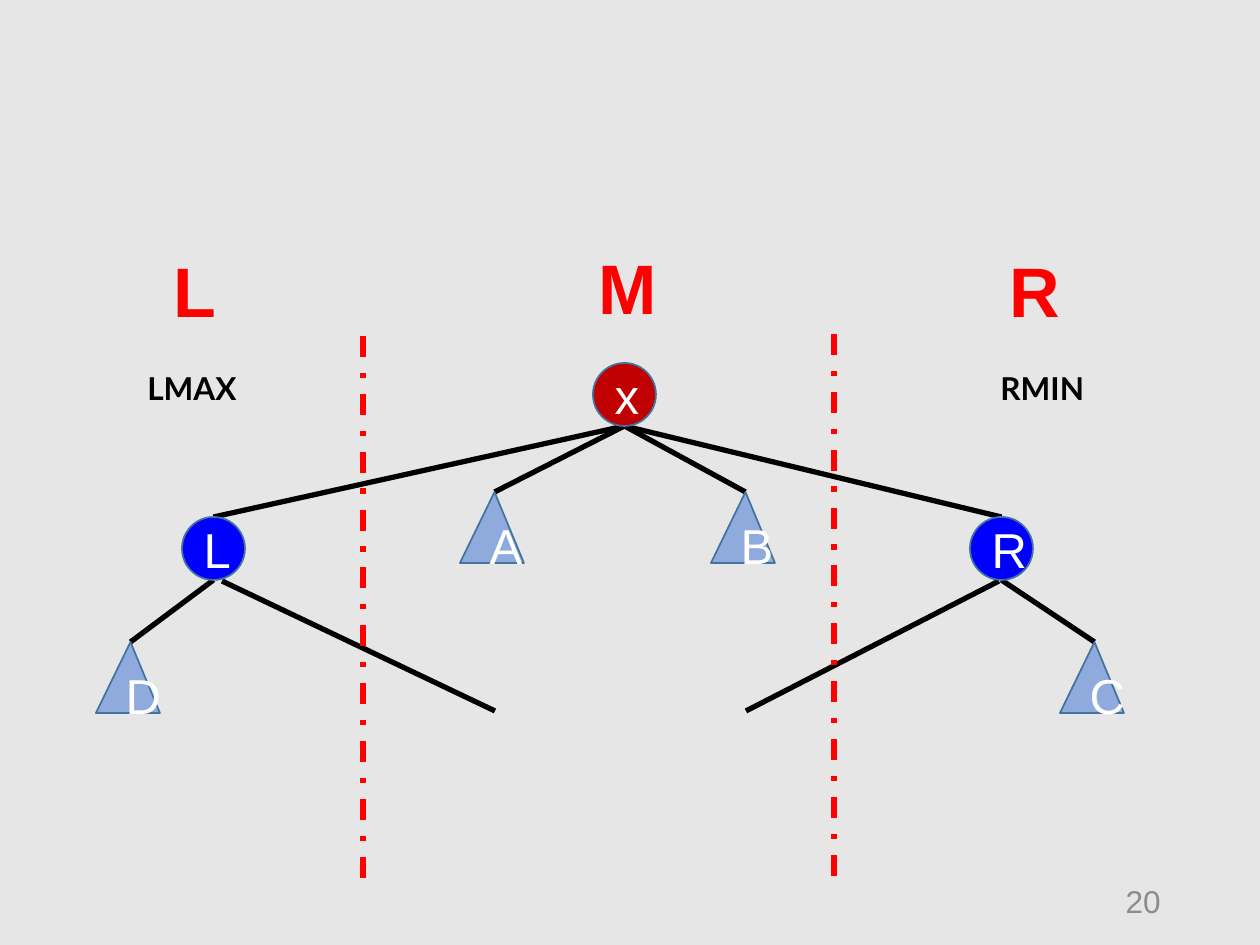
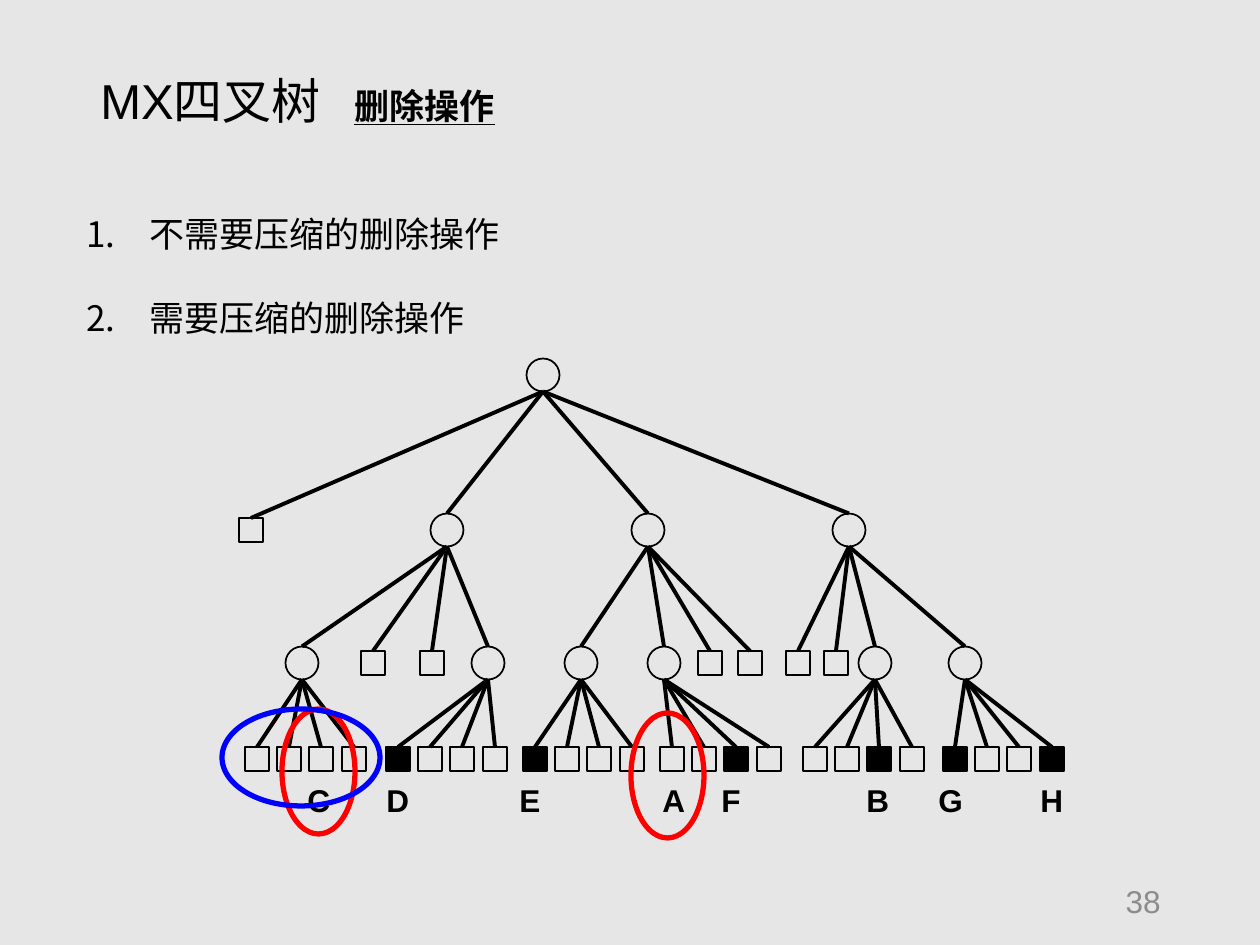
from lxml.etree import SubElement
from pptx import Presentation
from pptx.dml.color import RGBColor
from pptx.enum.dml import MSO_LINE
from pptx.enum.shapes import MSO_CONNECTOR, MSO_SHAPE
from pptx.enum.text import MSO_ANCHOR, PP_ALIGN
from pptx.oxml.ns import qn
from pptx.util import Pt

PX = 914400 / 126
BACKGROUND, BLACK, WHITE = "E7E6E6", "000000", "FFFFFF"
RED, BLUE, DARK_RED = "FF0000", "0000FF", "C00000"
PALE_BLUE, OUTLINE, GREY = "8FAADC", "43739E", "8C8C8C"

# Splay step: text, font, size, colour, box
SPLAY_LABELS = [
    ("L", "Arial", 40, RED, (161, 241, 58, 97)),
    ("M", "Arial", 40, RED, (586, 238, 83, 97)),
    ("R", "Arial", 40, RED, (997, 241, 73, 97)),
    ("LMAX", "Lato", 18, BLACK, (135, 363, 135, 50)),
    ("RMIN", "Lato", 18, BLACK, (988, 363, 135, 50)),
]
CIRCLES = {"x": (593, 363, DARK_RED), "L": (182, 517, BLUE), "R": (970, 517, BLUE)}
SUBTREES = {"A": (460, 492), "B": (711, 492), "C": (1060, 642), "D": (96, 642)}
CIRCLE_SIZE, SUBTREE_SIZE, APEX = 63, (64, 71), 0.54
EDGES = ["xA", "xB", "xL", "xR", "RC", "LD"]
OPEN_LINKS = [((495, 711), (222, 581)), ((746, 711), (999, 581))]
DIVIDERS = [((363, 336), (363, 893)), ((834, 334), (834, 891))]

# Quadtree: a node is (centre x, children); a leaf has its mark instead
TITLE, SUBTITLE, SUBTITLE_TAB = "MX四叉树", "删除操作", 254
DELETIONS = ["不需要压缩的删除操作", "需要压缩的删除操作"]
DELETED = "CA"


def leaf_row(first, marks):
    """Four evenly spaced leaves; a dot marks an empty one."""
    return [(first + index * 97 // 3, mark) for index, mark in enumerate(marks)]


QUADTREE = (543, [
    (251, "."),
    (447, [(302, leaf_row(257, "..C.")), (373, "."), (432, "."),
           (488, leaf_row(398, "D..."))]),
    (648, [(581, leaf_row(535, "E...")), (664, leaf_row(672, "A.F.")),
           (710, "."), (750, ".")]),
    (849, [(798, "."), (836, "."), (875, leaf_row(815, "..B.")),
           (965, leaf_row(955, "G..H"))]),
])
LEVELS = [375, 530, 663, 759]
NODE_SIZE, LEAF_SIZE = 33, 24
LEAF_LABELS = {"C": 295, "D": 374, "E": 507, "A": 650,
               "F": 709, "B": 854, "G": 926, "H": 1028}
RINGS = [
    (RED, (631, 713, 73, 125)),
    (RED, (282, 709, 73, 125)),
    (BLUE, (222, 709, 158, 97)),
]


def emu(*lengths):
    return [round(length * PX) for length in lengths]


def color(value):
    return RGBColor.from_string(value)


def style(runs, size, hue=BLACK, font="Arial", bold=False):
    for run in runs:
        run.font.name, run.font.size, run.font.bold = font, Pt(size), bold
        run.font.color.rgb = color(hue)


def add_text(slide, text, box, size, hue=BLACK, font="Arial", bold=False):
    text_frame = slide.shapes.add_textbox(*emu(*box)).text_frame
    text_frame.word_wrap = True
    text_frame.text = text
    for paragraph in text_frame.paragraphs:
        style(paragraph.runs, size, hue, font, bold)
    return text_frame


def add_figure(slide, kind, box, fill=None, outline=BLACK, width=1, letter=""):
    shape = slide.shapes.add_shape(kind, *emu(*box))
    shape.shadow.inherit = False
    if fill:
        shape.fill.solid()
        shape.fill.fore_color.rgb = color(fill)
    else:
        shape.fill.background()
    shape.line.color.rgb = color(outline)
    shape.line.width = Pt(width)
    if letter:
        shape.text_frame.text = letter
        paragraph = shape.text_frame.paragraphs[0]
        paragraph.alignment = PP_ALIGN.CENTER
        style(paragraph.runs, 28, WHITE)
    return shape


def add_line(slide, start, end, hue=BLACK, width=3, dash=None):
    line = slide.shapes.add_connector(MSO_CONNECTOR.STRAIGHT, *emu(*start, *end))
    line.line.color.rgb = color(hue)
    line.line.width = Pt(width)
    if dash:
        line.line.dash_style = dash
    SubElement(line._element.spPr, qn("a:effectLst"))


def add_slide(presentation, number):
    slide = presentation.slides.add_slide(presentation.slide_layouts[6])
    text_frame = add_text(slide, number, (890, 876, 283, 50), 18, GREY)
    text_frame.vertical_anchor = MSO_ANCHOR.MIDDLE
    text_frame.paragraphs[0].alignment = PP_ALIGN.RIGHT
    return slide


def top_point(name):
    if name in CIRCLES:
        left, top, _ = CIRCLES[name]
        return left + CIRCLE_SIZE / 2, top
    left, top = SUBTREES[name]
    return left + SUBTREE_SIZE[0] * APEX, top


def build_splay(presentation):
    slide = add_slide(presentation, "20")
    for start, end in OPEN_LINKS:
        add_line(slide, start, end)
    for parent, child in EDGES:
        x, y = top_point(parent)
        add_line(slide, (x, y + CIRCLE_SIZE), top_point(child))
    for name, (left, top, fill) in CIRCLES.items():
        add_figure(slide, MSO_SHAPE.OVAL, (left, top, CIRCLE_SIZE, CIRCLE_SIZE),
                   fill, OUTLINE, letter=name)
    for name, corner in SUBTREES.items():
        triangle = add_figure(slide, MSO_SHAPE.ISOSCELES_TRIANGLE,
                              corner + SUBTREE_SIZE, PALE_BLUE, OUTLINE, letter=name)
        triangle.adjustments[0] = APEX
    for start, end in DIVIDERS:
        add_line(slide, start, end, RED, dash=MSO_LINE.DASH_DOT)
    for text, font, size, hue, box in SPLAY_LABELS:
        add_text(slide, text, box, size, hue, font, bold=True)


def add_node(slide, node, level=0):
    """Draw a node and everything below it; return its top point."""
    x, content = node
    is_leaf = isinstance(content, str)
    size = LEAF_SIZE if is_leaf else NODE_SIZE
    left, top = x - size / 2, LEVELS[level] - size / 2
    box = (left, top, size, size)
    if is_leaf:
        fill = None if content == "." else BACKGROUND if content in DELETED else BLACK
        add_figure(slide, MSO_SHAPE.RECTANGLE, box, fill)
    else:
        add_figure(slide, MSO_SHAPE.OVAL, box)
        for child in content:
            child_top = add_node(slide, child, level + 1)
            add_line(slide, (x, top + size), child_top, width=2.25)
    return x, top


def add_title(slide):
    text_frame = add_text(slide, TITLE + "\t", (88, 64, 466, 72), 28)
    paragraph = text_frame.paragraphs[0]
    tabs = SubElement(paragraph._p.get_or_add_pPr(), qn("a:tabLst"))
    SubElement(tabs, qn("a:tab"), pos=str(emu(SUBTITLE_TAB)[0]), algn="l")
    run = paragraph.add_run()
    run.text = SUBTITLE
    style([run], 20, bold=True)
    run.font.underline = True


def add_deletions(slide):
    text_frame = add_text(slide, "\n".join(DELETIONS), (74, 164, 595, 169), 20)
    indent = emu(63)[0]
    for paragraph in text_frame.paragraphs:
        paragraph.line_spacing = 2.0
        properties = paragraph._p.get_or_add_pPr()
        properties.set("marL", str(indent))
        properties.set("indent", str(-indent))
        SubElement(properties, qn("a:buAutoNum"), type="arabicPeriod")


def build_quadtree(presentation):
    slide = add_slide(presentation, "38")
    add_title(slide)
    add_deletions(slide)
    add_node(slide, QUADTREE)
    for letter, left in LEAF_LABELS.items():
        add_text(slide, letter, (left, 775, 52, 50), 18, bold=True)
    for hue, box in RINGS:
        add_figure(slide, MSO_SHAPE.OVAL, box, outline=hue, width=3)


def main():
    presentation = Presentation()
    presentation.slide_width, presentation.slide_height = emu(1260, 945)
    background = presentation.slide_master.background.fill
    background.solid()
    background.fore_color.rgb = color(BACKGROUND)
    build_splay(presentation)
    build_quadtree(presentation)
    presentation.save("out.pptx")


if __name__ == "__main__":
    main()
